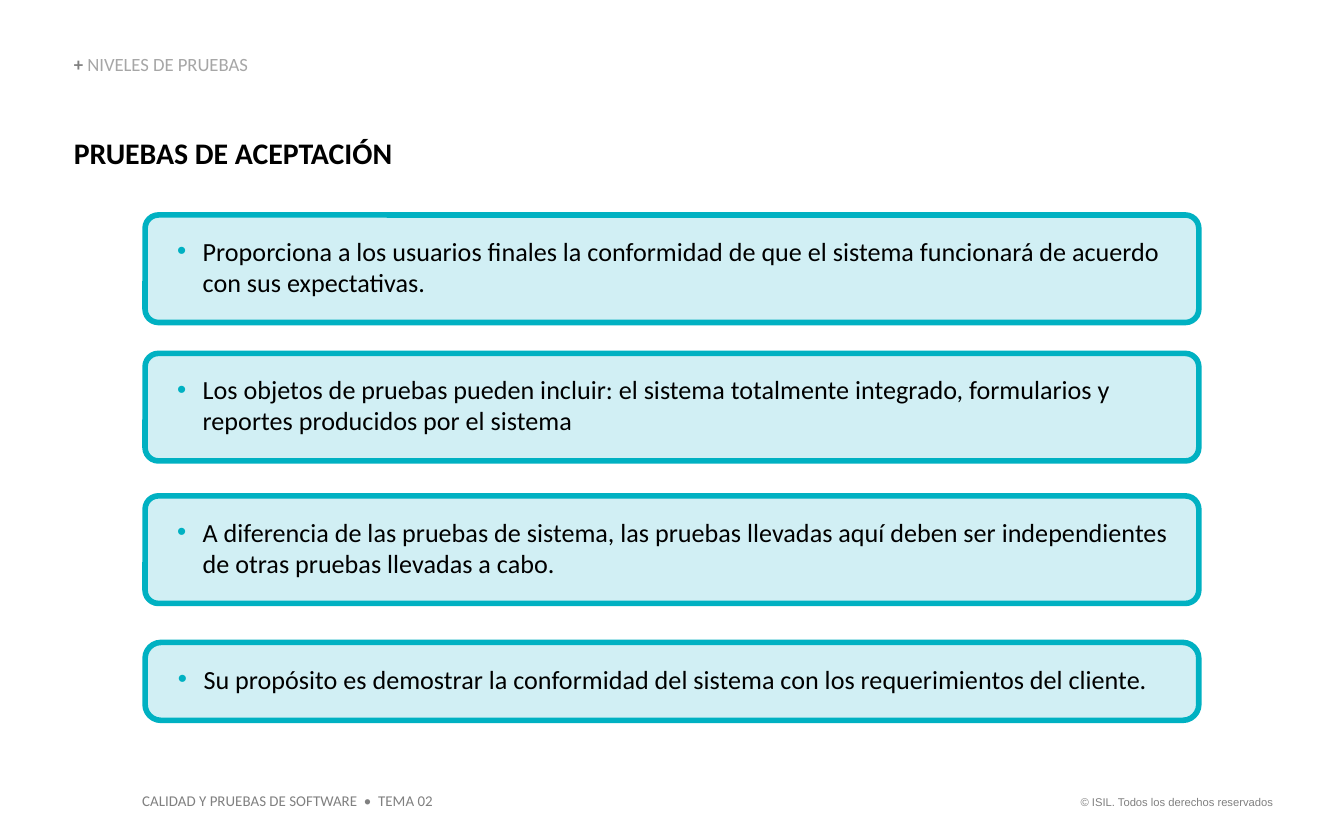
from lxml import etree
from pptx import Presentation
from pptx import util as u
from pptx.dml.color import RGBColor
from pptx.enum import shapes, text
from pptx.oxml import ns

PX = 9144
COLORS = {
    "ink": "000000", "gray": "808080", "light_gray": "A6A6A6",
    "teal": "00B1C2", "pale_teal": "D1EFF4",
}
CARDS = [
    (160, 80, 0.124, "Proporciona a los usuarios finales la conformidad de que el sistema "
     "funcionará de acuerdo con sus expectativas."),
    (263, 80, 0.124, "Los objetos de pruebas pueden incluir: el sistema totalmente integrado, "
     "formularios y reportes producidos por el sistema"),
    (369, 80, 0.124, "A diferencia de las pruebas de sistema, las pruebas llevadas aquí deben "
     "ser independientes de otras pruebas llevadas a cabo."),
    (478, 58, 0.204, "Su propósito es demostrar la conformidad del sistema con los "
     "requerimientos del cliente."),
]


def px(*lengths):
    """Turn px lengths into EMU."""
    return [u.Emu(length * PX) for length in lengths]


def rgb(name):
    """Return the named colour."""
    return RGBColor.from_string(COLORS[name])


def set_font(font, size, color, bold=False, name="Calibri"):
    """Set the face, size, weight and colour of a font."""
    font.name, font.size, font.bold = name, u.Pt(size), bold
    font.color.rgb = rgb(color)


def set_margins(frame, left, top, right, bottom):
    """Set the inner margins of a text frame in px."""
    (frame.margin_left, frame.margin_top,
     frame.margin_right, frame.margin_bottom) = px(left, top, right, bottom)


def add_text(page, area, wrap=True):
    """Add a text box and return its frame."""
    frame = page.shapes.add_textbox(*px(*area)).text_frame
    frame.word_wrap = wrap
    if wrap:
        set_margins(frame, 0, 0, 0, 0)
    return frame


def add_header(page, left, top):
    """Place the section label and the slide title."""
    frame = add_text(page, (left, top, 361, 15))
    frame.vertical_anchor = text.MSO_ANCHOR.BOTTOM
    para = frame.paragraphs[0]
    para.line_spacing = 0.9
    for words, color, bold in (("+ ", "gray", True), ("NIVELES DE PRUEBAS", "light_gray", False)):
        span = para.add_run()
        span.text = words
        set_font(span.font, 10, color, bold)
    title = add_text(page, (left, top + 59, 896, 27)).paragraphs[0]
    title.text = "PRUEBAS DE ACEPTACIÓN"
    set_font(title.font, 16, "ink", True)


def add_bullet(para):
    """Give a paragraph a teal hanging bullet."""
    props = para._p.get_or_add_pPr()
    indent, hanging = px(20, -19)
    props.set("marL", str(indent))
    props.set("indent", str(hanging))
    color = etree.SubElement(props, ns.qn("a:buClr"))
    etree.SubElement(color, ns.qn("a:srgbClr"), val=COLORS["teal"])
    etree.SubElement(props, ns.qn("a:buFont"), typeface="Arial")
    etree.SubElement(props, ns.qn("a:buChar"), char="•")


def add_card(page, area, rounding, words):
    """Place one rounded card with a bulleted statement."""
    card = page.shapes.add_shape(shapes.MSO_SHAPE.ROUNDED_RECTANGLE, *px(*area))
    card.adjustments[0] = rounding
    card.shadow.inherit = False
    card.fill.solid()
    card.fill.fore_color.rgb = rgb("pale_teal")
    card.line.color.rgb = rgb("teal")
    card.line.width = u.Pt(3)
    frame = card.text_frame
    frame.word_wrap = True
    frame.vertical_anchor = text.MSO_ANCHOR.TOP
    set_margins(frame, 20, 12, 4, 5)
    para = frame.paragraphs[0]
    para.text = words
    para.alignment = text.PP_ALIGN.LEFT
    para.space_after = u.Pt(6)
    add_bullet(para)
    set_font(para.font, 14, "ink")


def add_footer(page, left, top):
    """Place the course name and the copyright line."""
    course = add_text(page, (left, top, 237, 24), wrap=False).paragraphs[0]
    course.text = "CALIDAD Y PRUEBAS DE SOFTWARE  •  TEMA 02"
    set_font(course.font, 8, "gray")
    rights = add_text(page, (left + 692, top + 3, 169, 20), wrap=False).paragraphs[0]
    rights.text = "© ISIL. Todos los derechos reservados"
    rights.alignment = text.PP_ALIGN.RIGHT
    set_font(rights.font, 6, "gray", name="Arial")


def main():
    """Build and save the deck."""
    deck = Presentation()
    deck.slide_width, deck.slide_height = px(1000, 625)
    page = deck.slides.add_slide(deck.slide_layouts[6])
    add_footer(page, 96, 584)
    add_header(page, 55, 41)
    for top, height, rounding, words in CARDS:
        add_card(page, (108, top, 784, height), rounding, words)
    deck.save("out.pptx")


if __name__ == "__main__":
    main()
